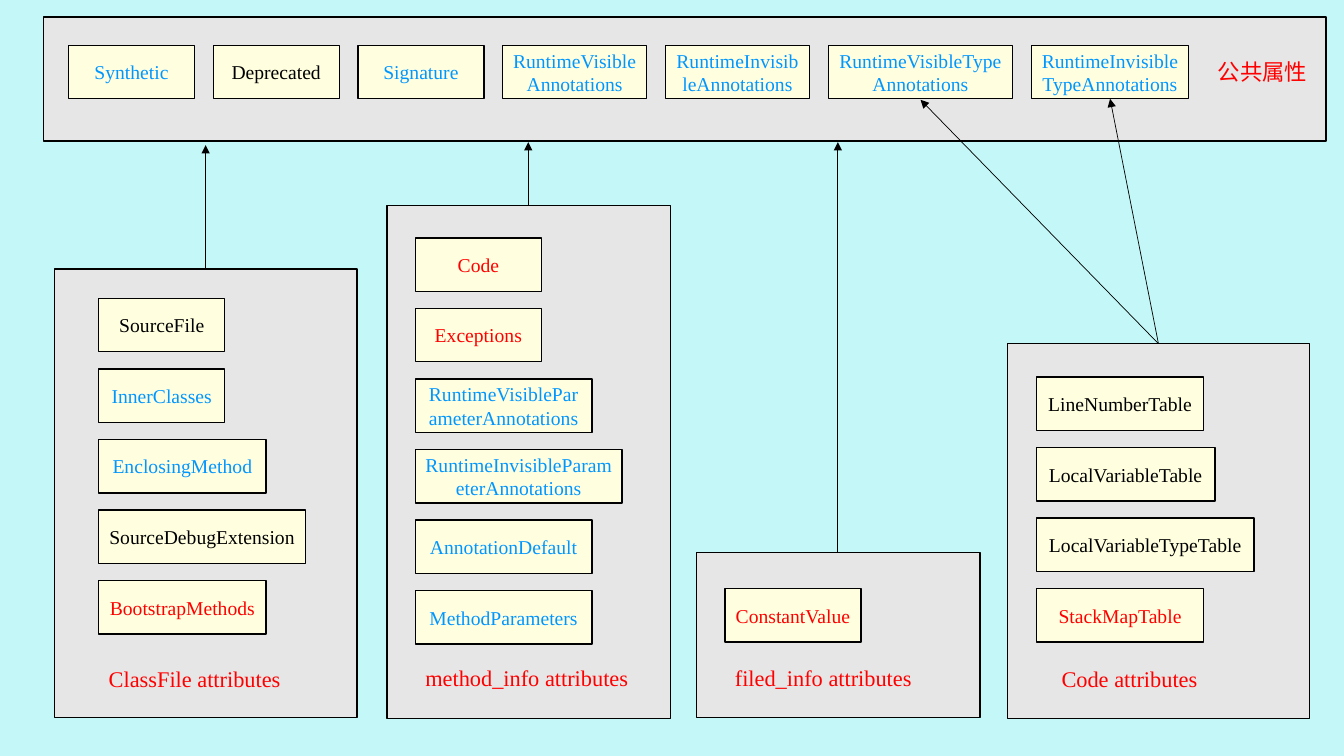
"""Build a slide that groups class file attributes by the structure that owns them."""
from dataclasses import dataclass

from lxml import etree
from pptx import Presentation
from pptx.dml.color import RGBColor
from pptx.enum import shapes, text
from pptx.oxml import ns
from pptx.util import Inches, Pt


@dataclass(frozen=True)
class Theme:
    """Colours, font and sizes of the slide."""
    sky: str = "C4F7F7"
    panel: str = "E7E6E6"
    cream: str = "FFFFE0"
    black: str = "000000"
    blue: str = "0096FF"
    red: str = "FF0000"
    font: str = "Times New Roman"
    box_size: int = 14
    label_size: int = 16
    border: float = 1
    arrow: float = 0.5


THEME = Theme()
BLACK, BLUE, RED = THEME.black, THEME.blue, THEME.red
SLIDE_WIDTH, SLIDE_HEIGHT = 13.33, 7.5
BOX_HEIGHT, ROW_PITCH, LABEL_HEIGHT = 0.53, 0.7, 0.37

PUBLIC_PANEL = (0.43, 0.17, 12.72, 1.23)
PUBLIC_LABEL = ("公共属性", 11.98, 0.53, 1.14)
PUBLIC_LEFT, PUBLIC_RIGHT, PUBLIC_TOP = 0.68, 11.79, 0.45
PUBLIC_BOXES = [
    ("Synthetic", 1.25, BLUE),
    ("Deprecated", 1.25, BLACK),
    ("Signature", 1.25, BLUE),
    ("RuntimeVisibleAnnotations", 1.43, BLUE),
    ("RuntimeInvisibleAnnotations", 1.43, BLUE),
    ("RuntimeVisibleTypeAnnotations", 1.83, BLUE),
    ("RuntimeInvisibleTypeAnnotations", 1.56, BLUE),
]

COLUMNS = [
    {"panel": (0.54, 2.67, 3, 4.45), "start": (0.98, 2.96),
     "label": ("ClassFile attributes", 0.98, 6.55, 2.01),
     "boxes": [("SourceFile", 1.25, BLACK),
               ("InnerClasses", 1.25, BLUE),
               ("EnclosingMethod", 1.66, BLUE),
               ("SourceDebugExtension", 2.05, BLACK),
               ("BootstrapMethods", 1.66, RED)]},
    {"panel": (3.84, 2.04, 2.81, 5.09), "start": (4.12, 2.36),
     "label": ("method_info attributes", 4.12, 6.54, 2.29),
     "boxes": [("Code", 1.25, RED),
               ("Exceptions", 1.25, RED),
               ("RuntimeVisibleParameterAnnotations", 1.75, BLUE),
               ("RuntimeInvisibleParameterAnnotations", 2.05, BLUE),
               ("AnnotationDefault", 1.75, BLUE),
               ("MethodParameters", 1.75, BLUE)]},
    {"panel": (6.91, 5.48, 2.81, 1.64), "start": (7.19, 5.84),
     "label": ("filed_info attributes", 7.19, 6.54, 2.32),
     "boxes": [("ConstantValue", 1.35, RED)]},
    {"panel": (9.99, 3.41, 3, 3.72), "start": (10.28, 3.74),
     "label": ("Code attributes", 10.43, 6.55, 2.01),
     "boxes": [("LineNumberTable", 1.66, BLACK),
               ("LocalVariableTable", 1.77, BLACK),
               ("LocalVariableTypeTable", 2.16, BLACK),
               ("StackMapTable", 1.66, RED)]},
]

ARROWS = [
    ((11.49, 3.41), (9.13, 0.99)),
    ((11.49, 3.41), (11.01, 0.98)),
    ((8.31, 5.48), (8.31, 1.41)),
    ((5.24, 2.04), (5.24, 1.41)),
    ((2.04, 2.67), (2.04, 1.44)),
]


def apply(target, values):
    """Set each named attribute of the target."""
    for name, value in values.items():
        setattr(target, name, value)


def write(shape, words, size, colour, align):
    """Put one formatted line of text in the shape."""
    para = shape.text_frame.paragraphs[0]
    para.alignment = align
    span = para.add_run()
    span.text = words
    apply(span.font, {"name": THEME.font, "size": Pt(size)})
    span.font.color.rgb = RGBColor.from_string(colour)


def add_rectangle(page, area, fill, bordered=True):
    """Add a flat rectangle, with a black border unless told otherwise."""
    box = page.shapes.add_shape(shapes.MSO_SHAPE.RECTANGLE, *map(Inches, area))
    box.shadow.inherit = False
    box.fill.solid()
    box.fill.fore_color.rgb = RGBColor.from_string(fill)
    if bordered:
        box.line.color.rgb = RGBColor.from_string(THEME.black)
        box.line.width = Pt(THEME.border)
    else:
        box.line.fill.background()
    return box


def add_attribute(page, left, top, name, width, colour):
    """Add a cream box that holds an attribute name."""
    box = add_rectangle(page, (left, top, width, BOX_HEIGHT), THEME.cream)
    apply(box.text_frame, {"word_wrap": True, "vertical_anchor": text.MSO_ANCHOR.MIDDLE})
    write(box, name, THEME.box_size, colour, text.PP_ALIGN.CENTER)


def add_label(page, words, left, top, width):
    """Add the red caption of a panel."""
    label = page.shapes.add_textbox(*map(Inches, (left, top, width, LABEL_HEIGHT)))
    apply(label.text_frame, {"word_wrap": True,
                             "auto_size": text.MSO_AUTO_SIZE.SHAPE_TO_FIT_TEXT})
    write(label, words, THEME.label_size, THEME.red, text.PP_ALIGN.JUSTIFY)


def add_arrow(page, start, end):
    """Add a thin straight arrow."""
    arrow = page.shapes.add_connector(shapes.MSO_CONNECTOR.STRAIGHT,
                                      *map(Inches, start + end))
    arrow.line.color.rgb = RGBColor.from_string(THEME.black)
    arrow.line.width = Pt(THEME.arrow)
    etree.SubElement(arrow.line._get_or_add_ln(), ns.qn("a:tailEnd"), type="triangle")
    etree.SubElement(arrow._element.spPr, ns.qn("a:effectLst"))


def add_public_row(page):
    """Add the shared attributes, evenly spaced in one row."""
    add_rectangle(page, PUBLIC_PANEL, THEME.panel)
    used = sum(width for _, width, _ in PUBLIC_BOXES)
    gap = (PUBLIC_RIGHT - PUBLIC_LEFT - used) / (len(PUBLIC_BOXES) - 1)
    left = PUBLIC_LEFT
    for name, width, colour in PUBLIC_BOXES:
        add_attribute(page, left, PUBLIC_TOP, name, width, colour)
        left += width + gap
    add_label(page, *PUBLIC_LABEL)


def add_column(page, column):
    """Add a panel with its stacked attributes and caption."""
    add_rectangle(page, column["panel"], THEME.panel)
    left, top = column["start"]
    for row, box in enumerate(column["boxes"]):
        add_attribute(page, left, top + row * ROW_PITCH, *box)
    add_label(page, *column["label"])


def main():
    """Build and save the deck."""
    deck = Presentation()
    apply(deck, {"slide_width": Inches(SLIDE_WIDTH), "slide_height": Inches(SLIDE_HEIGHT)})
    page = deck.slides.add_slide(deck.slide_layouts.get_by_name("Blank"))
    add_rectangle(page, (0, 0, SLIDE_WIDTH, SLIDE_HEIGHT), THEME.sky, bordered=False)
    add_public_row(page)
    for column in COLUMNS:
        add_column(page, column)
    for start, end in ARROWS:
        add_arrow(page, start, end)
    deck.save("out.pptx")


if __name__ == "__main__":
    main()
